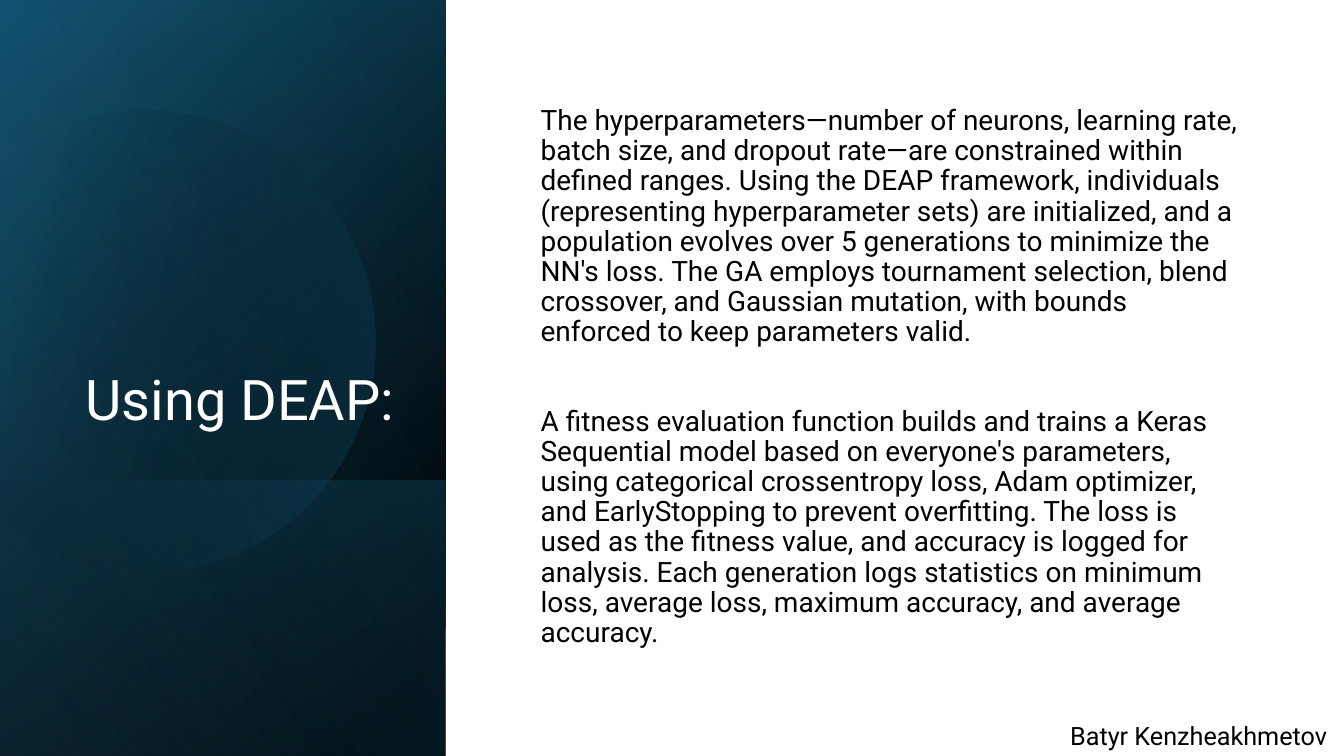
from math import cos, radians, sin, tan

from lxml.etree import SubElement
from pptx import Presentation
from pptx.dml.color import RGBColor
from pptx.enum.shapes import MSO_SHAPE as SHAPE
from pptx.enum.text import MSO_ANCHOR as ANCHOR, MSO_AUTO_SIZE as AUTO, PP_ALIGN as ALIGN
from pptx.oxml.ns import qn
from pptx.util import Cm, Pt

SLIDE_W, SLIDE_H = 33.87, 19.05
PANEL_W = 11.23

HYPERPARAMETERS = (
    "The hyperparameters—number of neurons, learning rate, batch size, and dropout rate—are "
    "constrained within defined ranges. Using the DEAP framework, individuals (representing "
    "hyperparameter sets) are initialized, and a population evolves over 5 generations to "
    "minimize the NN's loss. The GA employs tournament selection, blend crossover, and "
    "Gaussian mutation, with bounds enforced to keep parameters valid."
)
FITNESS = (
    "A fitness evaluation function builds and trains a Keras Sequential model based on "
    "everyone's parameters, using categorical crossentropy loss, Adam optimizer, and "
    "EarlyStopping to prevent overfitting. The loss is used as the fitness value, and "
    "accuracy is logged for analysis. Each generation logs statistics on minimum loss, "
    "average loss, maximum accuracy, and average accuracy."
)


def rgb(color):
    return RGBColor.from_string(color)


def place(s, left, top, width, height):
    s.left, s.top, s.width, s.height = Cm(left), Cm(top), Cm(width), Cm(height)


def add_backdrop(shapes):
    s = shapes.add_shape(SHAPE.RECTANGLE, 0, 0, Cm(SLIDE_W), Cm(SLIDE_H))
    s.shadow.inherit = False
    s.line.fill.background()
    s.fill.solid()
    s.fill.fore_color.rgb = rgb("FFFFFF")


def fill_gradient(s, stops, angle):
    """Fill with stops of (position %, colour, opacity %) along a clockwise angle."""
    s.shadow.inherit = False
    s.line.fill.background()
    s.fill.gradient()
    grad = s._element.spPr.find(qn("a:gradFill"))
    for child in list(grad):
        grad.remove(child)
    stop_list = SubElement(grad, qn("a:gsLst"))
    for position, color, opacity in stops:
        stop = SubElement(stop_list, qn("a:gs"), pos=str(position * 1000))
        clr = SubElement(stop, qn("a:srgbClr"), val=color)
        if opacity < 100:
            SubElement(clr, qn("a:alpha"), val=str(opacity * 1000))
    SubElement(grad, qn("a:lin"), ang=str(angle * 60000), scaled="0")


def add_panel(shapes, stops, angle, top=0):
    """Add a mirrored quarter-turned rectangle from top down to the slide's foot."""
    length = SLIDE_H - top
    s = shapes.add_shape(
        SHAPE.RECTANGLE,
        Cm((PANEL_W - length) / 2), Cm(top + (length - PANEL_W) / 2),
        Cm(length), Cm(PANEL_W),
    )
    s.rotation = 90
    s._element.spPr.find(qn("a:xfrm")).set("flipH", "1")
    fill_gradient(s, stops, angle)


def add_cut_circle(shapes, stops, angle, cx, cy, radius, bearings, rotation):
    """Add a circle drawn as arcs between the bearings and closed by a chord."""
    def point(bearing, reach=1.0, lean=0.0):
        a = radians(bearing)
        return (Cm(cx + radius * (reach * cos(a) - lean * sin(a))),
                Cm(cy + radius * (reach * sin(a) + lean * cos(a))))

    anchors = [point(b) for b in bearings]
    builder = shapes.build_freeform(*anchors[0])
    builder.add_line_segments(anchors[1:], close=True)
    s = builder.convert_to_shape()
    lines = list(s._element.spPr.iter(qn("a:lnTo")))
    for line, start, end in zip(lines, bearings, bearings[1:]):
        lean = 4 / 3 * tan(radians(end - start) / 4)
        line_parent = line.getparent()
        curve = SubElement(line_parent, qn("a:cubicBezTo"))
        line_parent.replace(line, curve)
        for x, y in (point(start, lean=lean), point(end, lean=-lean), point(end)):
            SubElement(curve, qn("a:pt"), x=str(x - s.left), y=str(y - s.top))
    s.rotation = rotation
    fill_gradient(s, stops, angle)


def write(p, text, size, color="000000", align=ALIGN.LEFT, spacing=1.0, before=0):
    p.alignment, p.line_spacing, p.space_before = align, spacing, Pt(before)
    r = p.add_run()
    r.text = text
    r.font.name, r.font.size = "Roboto", Pt(size)
    r.font.color.rgb = rgb(color)


def prepare_frame(s, anchor):
    tf = s.text_frame
    tf.word_wrap, tf.auto_size, tf.vertical_anchor = True, AUTO.NONE, anchor
    return tf


def add_title(slide):
    s = slide.shapes.title
    place(s, 1.3, 1.63, 8.89, 9.4)
    tf = prepare_frame(s, ANCHOR.BOTTOM)
    write(tf.paragraphs[0], "Using DEAP:", 40, "FFFFFF", ALIGN.RIGHT, 0.9)
    slide.shapes._spTree.append(s._element)


def add_body(slide):
    s = slide.placeholders[1]
    place(s, 13.37, 1.8, 18.21, 15.42)
    tf = prepare_frame(s, ANCHOR.MIDDLE)
    for i, (text, before) in enumerate([(HYPERPARAMETERS, 10), (FITNESS, 42)]):
        p = tf.add_paragraph() if i else tf.paragraphs[0]
        write(p, text, 20, spacing=0.9, before=before)
        pPr = p._p.get_or_add_pPr()
        pPr.set("marL", "0")
        pPr.set("indent", "0")
        SubElement(pPr, qn("a:buNone"))
    slide.shapes._spTree.append(s._element)


def add_author(slide):
    s = slide.shapes.add_textbox(Cm(26.72), Cm(18.03), Cm(7.26), Cm(1.02))
    tf = prepare_frame(s, ANCHOR.TOP)
    write(tf.paragraphs[0], "Batyr Kenzheakhmetov", 18)


def main():
    prs = Presentation()
    prs.slide_width, prs.slide_height = Cm(SLIDE_W), Cm(SLIDE_H)
    slide = prs.slides.add_slide(prs.slide_layouts[1])
    shapes = slide.shapes

    add_backdrop(shapes)
    add_panel(shapes, [(8, "000000", 100), (100, "104862", 100)], 50)
    add_panel(shapes, [(0, "000000", 0), (99, "156082", 46)], 30)
    add_panel(shapes, [(2, "156082", 29), (100, "000000", 30)], 130, top=12.1)
    add_cut_circle(shapes, [(29, "000000", 0), (100, "156082", 43)], 30,
                   cx=3.63, cy=8.5, radius=5.81,
                   bearings=[-117.8, -90, 0, 90, 150], rotation=343.9)
    add_panel(shapes, [(0, "000000", 0), (99, "46B1E1", 11)], 120)

    add_title(slide)
    add_body(slide)
    add_author(slide)
    prs.save("out.pptx")


if __name__ == "__main__":
    main()
